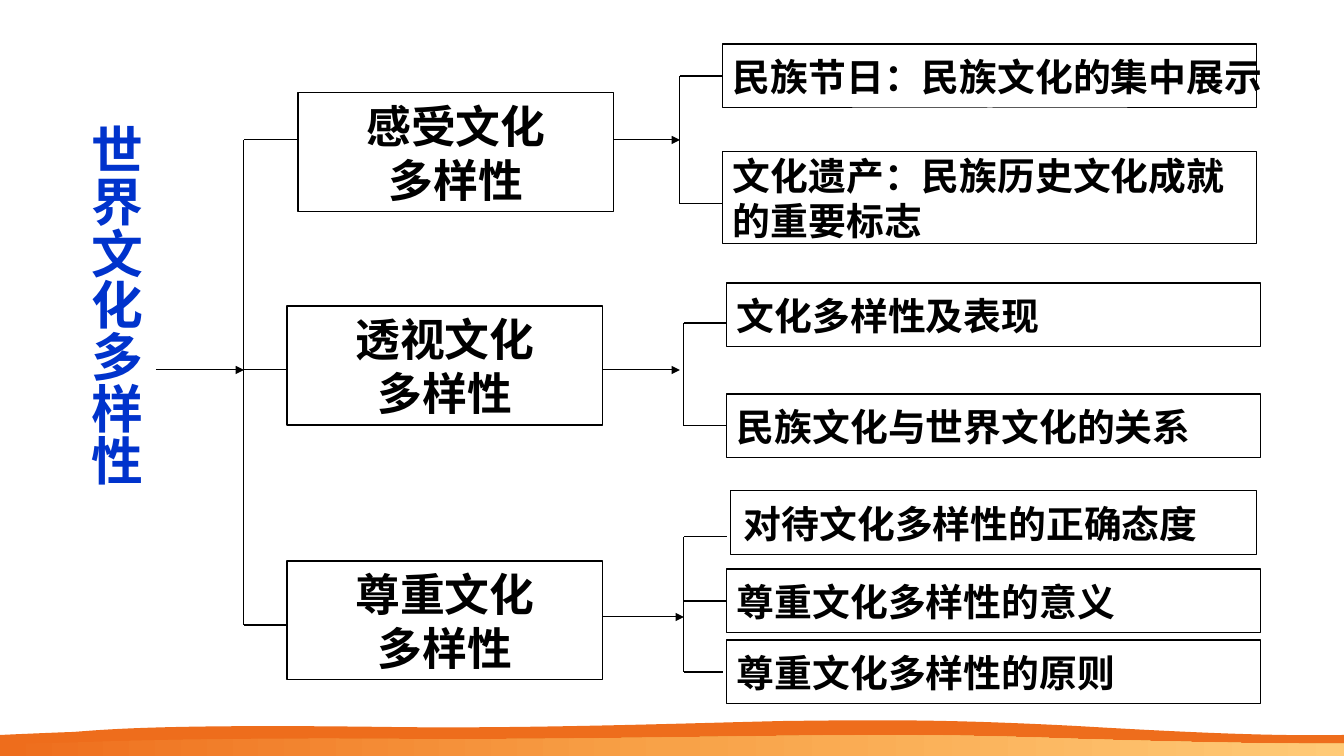
from copy import deepcopy

from lxml import etree
from pptx import Presentation
from pptx import util as u
from pptx.dml.color import RGBColor
from pptx.enum import shapes, text
from pptx.oxml.ns import qn

PX = u.Inches(1) / 100.8
WIDTH, HEIGHT = 1344, 756
FONT = "Times New Roman"
COLORS = {"ink": "000000", "title": "0033CC", "orange": "EE6D1C",
          "amber": "F8A248", "sand": "FFCA77"}

# Each wave: start point, then cubic segments (two controls and an end point)
BACK_WAVE = [(0, 735), (0, 735), (44, 733), (73, 732), (102, 730), (153, 724),
             (388, 727), (527, 729), (695, 723), (785, 721), (876, 720),
             (941, 719), (1076, 726), (1212, 734), (1281, 736), (1344, 735)]
FRONT_WAVE = [(0, 744), (0, 744), (58, 743), (88, 742), (116, 741), (222, 738),
              (390, 739), (528, 740), (690, 737), (780, 736), (871, 735),
              (941, 734), (1076, 739), (1212, 743), (1282, 744), (1344, 744)]

# Topic: text, box, trunk stub y, arrow y, spine x, arrow end x, details
# Detail: text, box, stub y, stub end x, side inset
BRANCHES = [
    ("感受文化\n多样性", (298, 93, 316, 119), 140, 140, 680, 680, [
        ("民族节日：民族文化的集中展示", (723, 44, 534, 64), 76, 723, 10),
        ("文化遗产：民族历史文化成就\n的重要标志", (723, 152, 534, 92), 204, 723, 10)]),
    ("透视文化\n多样性", (287, 306, 316, 119), 370, 370, 684, 680, [
        ("文化多样性及表现", (727, 283, 534, 64), 323, 727, 10),
        ("民族文化与世界文化的关系", (727, 394, 534, 64), 426, 727, 10)]),
    ("尊重文化\n多样性", (287, 561, 316, 119), 625, 617, 684, 684, [
        ("对待文化多样性的正确态度", (731, 491, 526, 64), 537, 727, 13),
        ("尊重文化多样性的意义", (727, 569, 534, 64), 601, 727, 10),
        ("尊重文化多样性的原则", (727, 640, 534, 64), 672, 723, 10)]),
]


def px(value):
    return u.Emu(round(value * PX))


def rgb(name):
    return RGBColor.from_string(COLORS[name])


def style_text(frame, size, color, align):
    for paragraph in frame.paragraphs:
        paragraph.alignment = align
        font = paragraph.font
        font.name, font.size, font.bold = FONT, u.Pt(size), True
        font.color.rgb = rgb(color)


def add_box(slide, wording, box, size, align, inset=10):
    shape = slide.shapes.add_shape(shapes.MSO_SHAPE.RECTANGLE, *map(px, box))
    shape.shadow.inherit = False
    shape.fill.background()
    shape.line.color.rgb = rgb("ink")
    shape.line.width = u.Pt(0.75)
    frame = shape.text_frame
    frame.text = wording
    frame.word_wrap = False
    frame.vertical_anchor = text.MSO_ANCHOR.MIDDLE
    frame.margin_left = frame.margin_right = px(inset)
    style_text(frame, size, "ink", align)
    return shape


def add_line(slide, x1, y1, x2, y2, arrow=False):
    line = slide.shapes.add_connector(
        shapes.MSO_CONNECTOR.STRAIGHT, px(x1), px(y1), px(x2), px(y2))
    line.line.color.rgb = rgb("ink")
    line.line.width = u.Pt(0.75)
    properties = line._element.spPr
    if arrow:
        etree.SubElement(properties.find(qn("a:ln")), qn("a:tailEnd"), type="triangle")
    etree.SubElement(properties, qn("a:effectLst"))
    return line


def add_stub(slide, spine_x, y, end_x, shape, box):
    """Draw a stub to a box, joined to it where it meets the middle of its left side."""
    line = add_line(slide, spine_x, y, end_x, y)
    left, top, _, height = box
    if (end_x, y) == (left, top + height / 2):
        line.end_connect(shape, 1)


def add_wave(slide, curve):
    """Fill the area from a chain of cubic curves down to the slide's bottom."""
    points = [(px(x), px(y)) for x, y in curve + [(WIDTH, HEIGHT), (0, HEIGHT)]]
    builder = slide.shapes.build_freeform(*points[0])
    builder.add_line_segments(points[1:], close=True)
    shape = builder.convert_to_shape()
    shape.shadow.inherit = False
    shape.line.fill.background()

    outline = shape._element.spPr.find(".//" + qn("a:path"))
    lines = outline.findall(qn("a:lnTo"))[:len(curve) - 1]
    for first in range(0, len(lines), 3):
        cubic = etree.Element(qn("a:cubicBezTo"))
        lines[first].addprevious(cubic)
        for line in lines[first:first + 3]:
            cubic.append(line[0])
            outline.remove(line)
    return shape


def add_footer_waves(slide):
    back = add_wave(slide, BACK_WAVE)
    back.fill.solid()
    back.fill.fore_color.rgb = rgb("orange")

    front = add_wave(slide, FRONT_WAVE)
    front.fill.gradient()
    front.fill.gradient_angle = 0
    stop_list = front._element.spPr.find(".//" + qn("a:gsLst"))
    stop_list.insert(1, deepcopy(stop_list[0]))
    for stop, position, name in zip(front.fill.gradient_stops, (0, 0.5, 1),
                                    ("orange", "amber", "sand")):
        stop.position = position
        stop.color.rgb = rgb(name)


def add_vertical_title(slide, box):
    title = slide.shapes.title
    title.left, title.top, title.width, title.height = map(px, box)
    frame = title.text_frame
    frame.text = "世界文化多样性"
    frame.word_wrap = True
    frame.auto_size = text.MSO_AUTO_SIZE.NONE
    frame.vertical_anchor = text.MSO_ANCHOR.TOP
    frame.margin_left = frame.margin_right = px(13)
    frame.margin_top = frame.margin_bottom = px(7)
    frame._txBody.bodyPr.set("vert", "eaVert")
    style_text(frame, 37, "title", text.PP_ALIGN.LEFT)


def add_branch(slide, trunk_x, branch):
    wording, box, trunk_y, arrow_y, spine_x, arrow_end, details = branch
    topic = add_box(slide, wording, box, 32, text.PP_ALIGN.CENTER)
    add_stub(slide, trunk_x, trunk_y, box[0], topic, box)
    add_line(slide, box[0] + box[2], arrow_y, arrow_end, arrow_y, arrow=True)
    add_line(slide, spine_x, details[0][2], spine_x, details[-1][2])
    for detail, detail_box, stub_y, stub_end, inset in details:
        shape = add_box(slide, detail, detail_box, 27, text.PP_ALIGN.LEFT, inset)
        add_stub(slide, spine_x, stub_y, stub_end, shape, detail_box)


def add_tree(slide, root_x, trunk_x, root_y):
    for branch in BRANCHES:
        add_branch(slide, trunk_x, branch)
    add_line(slide, trunk_x, BRANCHES[0][2], trunk_x, BRANCHES[-1][2])
    add_line(slide, root_x, root_y, trunk_x, root_y, arrow=True)


def main():
    presentation = Presentation()
    presentation.slide_width, presentation.slide_height = px(WIDTH), px(HEIGHT)
    slide = presentation.slides.add_slide(presentation.slide_layouts[5])
    add_footer_waves(slide)
    add_vertical_title(slide, (70, 117, 90, 405))
    add_tree(slide, 156, 244, 370)
    presentation.save("out.pptx")


if __name__ == "__main__":
    main()
